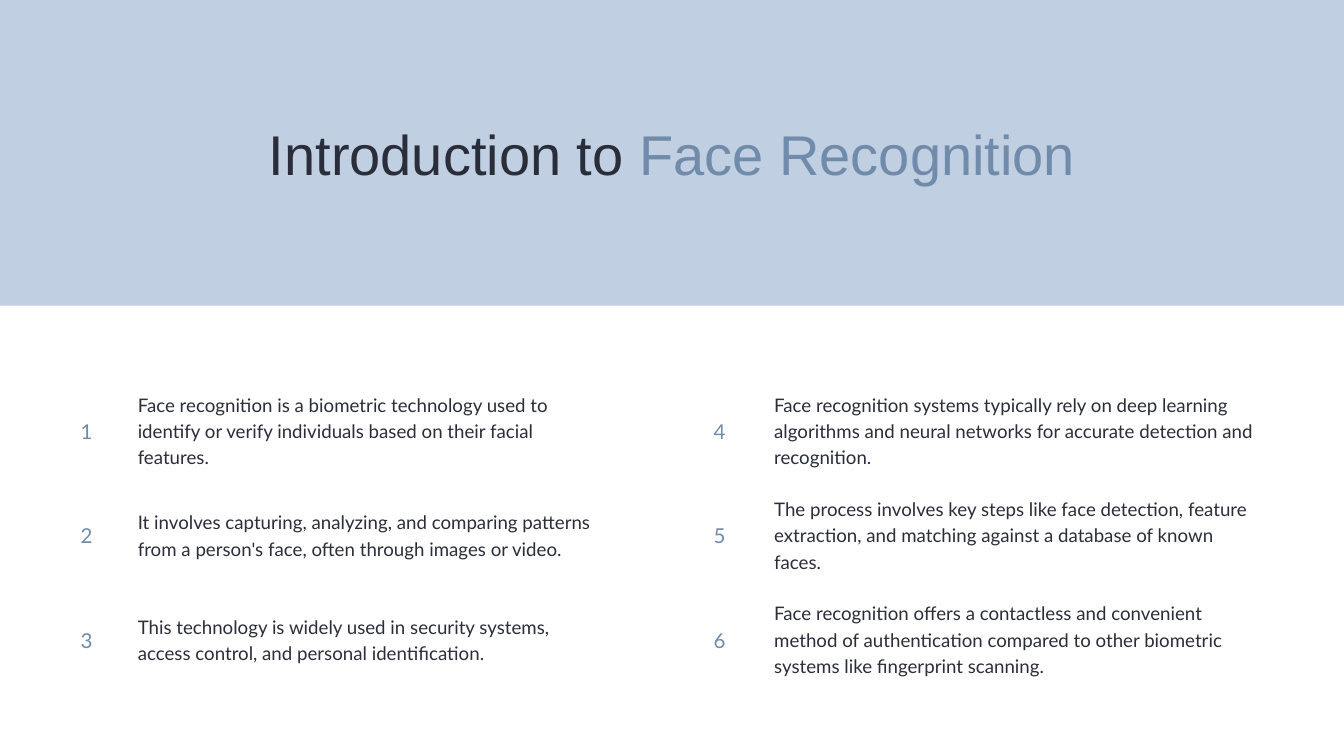
from dataclasses import dataclass

from pptx import Presentation
from pptx.dml.color import RGBColor
from pptx.enum.shapes import MSO_SHAPE as Shape
from pptx.enum.text import MSO_ANCHOR as Anchor, MSO_AUTO_SIZE as AutoSize, PP_ALIGN as Align
from pptx.slide import Slide
from pptx.text.text import TextFrame
from pptx.util import Inches, Pt

INK = RGBColor(0x2A, 0x2E, 0x3A)
ACCENT = RGBColor(0x71, 0x8B, 0xAB)
BAND = RGBColor(0xC0, 0xCF, 0xE1)

TABLE_TOP = 5.62
ROW_HEIGHT = 1.55
CELL_MARGIN = 0.08


@dataclass(frozen=True)
class PointList:
    left: float
    number_width: float
    text_width: float
    first_number: int
    points: tuple[str, ...]


POINT_LISTS = (
    PointList(1.12, 0.85, 7.02, 1, (
        "Face recognition is a biometric technology used to identify or verify "
        "individuals based on their facial features.",
        "It involves capturing, analyzing, and comparing patterns from a person's "
        "face, often through images or video.",
        "This technology is widely used in security systems, access control, and "
        "personal identification.",
    )),
    PointList(10.54, 0.9, 7.44, 4, (
        "Face recognition systems typically rely on deep learning algorithms and "
        "neural networks for accurate detection and recognition.",
        "The process involves key steps like face detection, feature extraction, "
        "and matching against a database of known faces.",
        "Face recognition offers a contactless and convenient method of "
        "authentication compared to other biometric systems like fingerprint scanning.",
    )),
)


def write(frame: TextFrame, *parts: tuple[str, RGBColor], font: str, size: float,
          spacing: float, align: Align = Align.LEFT, anchor: Anchor = Anchor.TOP,
          margin: float = 0) -> None:
    frame.word_wrap = True
    frame.vertical_anchor = anchor
    frame.margin_left = frame.margin_right = Inches(margin)
    frame.margin_top = frame.margin_bottom = Inches(margin)
    para = frame.paragraphs[0]
    para.alignment = align
    para.line_spacing = Pt(spacing)
    para.space_before = Pt(0)
    for text, color in parts:
        span = para.add_run()
        span.text = text
        span.font.name = font
        span.font.size = Pt(size)
        span.font.bold = False
        span.font.color.rgb = color


def draw_header(page: Slide) -> None:
    title = page.shapes.title
    title.left, title.top = Inches(2.35), Inches(1.69)
    title.width, title.height = Inches(15.3), Inches(1.08)
    write(title.text_frame, ("Introduction to ", INK), ("Face Recognition", ACCENT),
          font="Arial", size=60, spacing=78, align=Align.CENTER)
    title.text_frame.auto_size = AutoSize.NONE

    band = page.shapes.add_shape(Shape.RECTANGLE, 0, 0, Inches(20), Inches(4.55))
    band.shadow.inherit = False
    band.fill.solid()
    band.fill.fore_color.rgb = BAND
    band.line.fill.background()
    title.element.addprevious(band.element)


def draw_points(page: Slide, group: PointList) -> None:
    count = len(group.points)
    table = page.shapes.add_table(
        count, 2, Inches(group.left), Inches(TABLE_TOP),
        Inches(group.number_width + group.text_width), Inches(ROW_HEIGHT * count),
    ).table
    table.first_row = False
    table.horz_banding = False
    table.columns[0].width = Inches(group.number_width)
    table.columns[1].width = Inches(group.text_width)
    for row, point in enumerate(group.points):
        table.rows[row].height = Inches(ROW_HEIGHT)
        number = str(group.first_number + row)
        for column, (text, color, size) in enumerate(
                ((number, ACCENT, 22), (point, INK, 20))):
            cell = table.cell(row, column)
            cell.fill.background()
            cell.vertical_anchor = Anchor.MIDDLE
            cell.margin_left = cell.margin_right = Inches(CELL_MARGIN)
            cell.margin_top = cell.margin_bottom = Inches(CELL_MARGIN)
            write(cell.text_frame, (text, color), font="Lato", size=size,
                  spacing=size * 1.4, anchor=Anchor.MIDDLE, margin=CELL_MARGIN)


def main() -> None:
    deck = Presentation()
    deck.slide_width, deck.slide_height = Inches(20), Inches(11.25)
    page = deck.slides.add_slide(deck.slide_layouts.get_by_name("Title Only"))
    draw_header(page)
    for group in POINT_LISTS:
        draw_points(page, group)
    deck.save("out.pptx")


if __name__ == "__main__":
    main()
